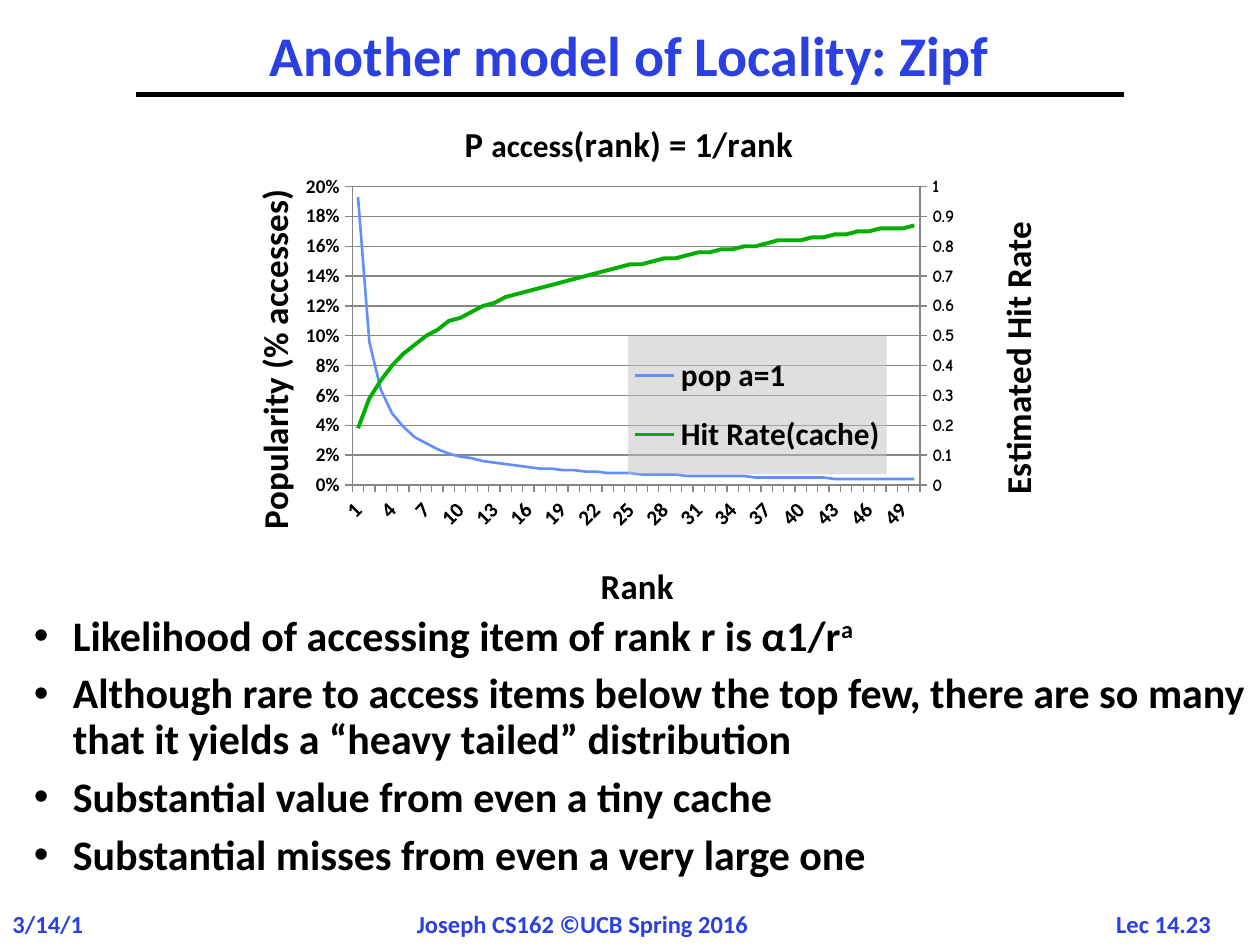
import copy
import itertools
from dataclasses import dataclass

import pptx
import pptx.chart.axis
import pptx.chart.data
import pptx.dml.color
import pptx.enum.chart
import pptx.enum.text
import pptx.oxml
import pptx.oxml.ns
import pptx.util

qn = pptx.oxml.ns.qn
Pt = pptx.util.Pt
ALIGN = pptx.enum.text.PP_ALIGN
ANCHOR = pptx.enum.text.MSO_ANCHOR
WIDTH, HEIGHT = pptx.util.Inches(10), pptx.util.Inches(7.5)
BLUE, BLACK, GRID = "2A40E2", "000000", "868686"
NS = pptx.oxml.ns.nsdecls("c", "a")


@dataclass
class Box:
    x: float
    y: float
    w: float
    h: float

    def emu(self) -> tuple:
        return (int(self.x * WIDTH), int(self.y * HEIGHT),
                int(self.w * WIDTH), int(self.h * HEIGHT))


@dataclass
class Label:
    text: str
    box: Box
    size: float = 14
    align: int = ALIGN.LEFT
    wrap: bool = False
    anchor: int = ANCHOR.TOP
    spacing: float = 1


LABELS = [
    Label("Lec 14.23", Box(0.872, 0.955, 0.103, 0.044), align=ALIGN.CENTER),
    Label("3/14/16", Box(0, 0.955, 0.082, 0.045), wrap=True),
    Label("Joseph CS162 ©UCB Spring 2016", Box(0.321, 0.955, 0.288, 0.045)),
    Label("Another model of Locality: Zipf", Box(0.108, 0.023, 0.783, 0.077),
          32, ALIGN.CENTER, True, ANCHOR.MIDDLE, 0.9),
]
BULLETS = [
    ("Likelihood of accessing item of rank r is α1/r", "a"),
    ("Although rare to access items below the top few, there are so many "
     "that it yields a “heavy tailed” distribution", ""),
    ("Substantial value from even a tiny cache", ""),
    ("Substantial misses from even a very large one", ""),
]


def rgb(value: str):
    return pptx.dml.color.RGBColor.from_string(value)


def style(font, size: float, color: str = BLACK, name: str = "Calibri") -> None:
    font.size, font.name, font.bold = Pt(size), name, True
    font.color.rgb = rgb(color)


def add_label(s, label: Label):
    tf = s.shapes.add_textbox(*label.box.emu()).text_frame
    tf.text, tf.word_wrap, tf.vertical_anchor = label.text, label.wrap, label.anchor
    p = tf.paragraphs[0]
    p.alignment, p.line_spacing = label.align, label.spacing
    style(p.runs[0].font, label.size, BLUE)


def add_rule(s) -> None:
    line = s.shapes.add_connector(1, *(int(v) for v in (
        0.108 * WIDTH, 0.1 * HEIGHT, 0.892 * WIDTH, 0.1 * HEIGHT)))
    line.line.color.rgb, line.line.width = rgb(BLACK), Pt(3)
    line._element.spPr.append(pptx.oxml.parse_xml(f"<a:effectLst {NS}/>"))


def add_bullets(s, box: Box) -> None:
    tf = s.shapes.add_textbox(*box.emu()).text_frame
    tf.word_wrap = True
    for i, (text, power) in enumerate(BULLETS):
        p = tf.paragraphs[0] if i == 0 else tf.add_paragraph()
        p.text, p.line_spacing, p.space_before = text, 0.9, Pt(7.2)
        if power:
            r = p.add_run()
            r.text = power
            r.font._element.set("baseline", "30000")
        for r in p.runs:
            style(r.font, 24)
        pPr = p._p.get_or_add_pPr()
        indent = pptx.util.Inches(0.31)
        pPr.set("marL", str(indent))
        pPr.set("indent", str(-indent))
        pPr.append(pptx.oxml.parse_xml(f'<a:buFont {NS} typeface="Arial"/>'))
        pPr.append(pptx.oxml.parse_xml(f'<a:buChar {NS} char="•"/>'))


def place(parent, after: str, **shares: float) -> None:
    for old in parent.findall(qn("c:layout")):
        parent.remove(old)
    target = '<c:layoutTarget val="inner"/>' if not after else ""
    modes = "".join(f'<c:{k}Mode val="edge"/>' for k in "xy")
    values = "".join(f'<c:{k} val="{v}"/>' for k, v in shares.items())
    layout = pptx.oxml.parse_xml(
        f"<c:layout {NS}><c:manualLayout>{target}{modes}{values}"
        "</c:manualLayout></c:layout>")
    if after:
        parent.find(qn(after)).addnext(layout)
    else:
        parent.insert(0, layout)


def set_title(title, parts: list, x: float, y: float, turned: bool = False) -> None:
    tf = title.text_frame
    tf.text = ""
    for text, size in parts:
        r = tf.paragraphs[0].add_run()
        r.text = text
        style(r.font, size)
    if turned:
        tf._txBody.bodyPr.set("rot", "-5400000")
        tf._txBody.bodyPr.set("vert", "horz")
    place(title._element, "c:tx", x=x, y=y)


def style_axis(axis, size: float, name: str = "Calibri") -> None:
    axis.major_tick_mark = pptx.enum.chart.XL_TICK_MARK.OUTSIDE
    axis.minor_tick_mark = pptx.enum.chart.XL_TICK_MARK.NONE
    axis.format.line.color.rgb, axis.format.line.width = rgb(GRID), Pt(0.75)
    style(axis.tick_labels.font, size, name=name)


def scale(axis, top: float, step: float, number_format: str) -> None:
    axis.minimum_scale, axis.maximum_scale, axis.major_unit = 0, top, step
    axis.tick_labels.number_format = number_format
    axis.tick_labels.number_format_is_linked = False


def add_right_axis(chart):
    plot = chart._chartSpace.chart.plotArea
    left_lines = plot.find(qn("c:lineChart"))
    lines = copy.deepcopy(left_lines)
    left_lines.remove(left_lines.findall(qn("c:ser"))[1])
    lines.remove(lines.findall(qn("c:ser"))[0])
    left_lines.addnext(lines)
    cat, val = (copy.deepcopy(a._element) for a in (chart.category_axis, chart.value_axis))
    ids = ("50010", "50020")
    for ref, number in zip(lines.findall(qn("c:axId")), ids):
        ref.set("val", number)
    for axis, own, other in ((cat, *ids), (val, *reversed(ids))):
        axis.find(qn("c:axId")).set("val", own)
        axis.find(qn("c:crossAx")).set("val", other)
    val.find(qn("c:axPos")).set("val", "r")
    val.find(qn("c:crosses")).set("val", "max")
    chart.value_axis._element.addnext(val)
    val.addnext(cat)
    pptx.chart.axis.CategoryAxis(cat).visible = False
    return pptx.chart.axis.ValueAxis(val)


def add_zipf_chart(s, box: Box) -> None:
    ranks = range(1, 51)
    shares = [0.1928 / rank for rank in ranks]
    data = pptx.chart.data.CategoryChartData()
    data.categories = [str(rank) for rank in ranks]
    data.add_series("pop a=1", [round(v, 3) for v in shares])
    data.add_series("Hit Rate(cache)", [round(v, 2) for v in itertools.accumulate(shares)])
    chart = s.shapes.add_chart(pptx.enum.chart.XL_CHART_TYPE.LINE, *box.emu(), data).chart
    style(chart.font, 10, name="Comic Neue")
    for series, color, width in zip(chart.plots[0].series, ("618FFD", "00AE00"), (1.5, 2.25)):
        series.smooth = False
        series.marker.style = pptx.enum.chart.XL_MARKER_STYLE.NONE
        series.format.line.color.rgb, series.format.line.width = rgb(color), Pt(width)
    chart.plots[0].vary_by_categories = False

    cat, left = chart.category_axis, chart.value_axis
    style_axis(cat, 12)
    style_axis(left, 11)
    right = add_right_axis(chart)
    style_axis(right, 10, "Comic Neue")
    scale(left, 0.2, 0.02, "0%")
    scale(right, 1, 0.1, "General")
    left.has_major_gridlines, right.has_major_gridlines = True, False
    grid = left.major_gridlines.format.line
    grid.color.rgb, grid.width = rgb(GRID), Pt(0.75)
    cat._element.find(qn("c:txPr")).find(qn("a:bodyPr")).set("rot", "-2700000")
    last = cat._element.find(qn("c:noMultiLvlLbl"))
    for tag, step in (("tickLblSkip", 3), ("tickMarkSkip", 1)):
        last.addprevious(pptx.oxml.parse_xml(f'<c:{tag} {NS} val="{step}"/>'))

    chart.has_title = True
    set_title(chart.chart_title, [("P ", 20), ("access", 18), ("(rank) = 1/rank", 20)], 0.3, 0.05)
    set_title(cat.axis_title, [("Rank", 20)], 0.46, 0.87)
    set_title(left.axis_title, [("Popularity (% accesses)", 20)], 0.04, 0.17, True)
    set_title(right.axis_title, [("Estimated Hit Rate", 20)], 0.93, 0.23, True)

    chart.has_legend = True
    legend = chart.legend
    legend.position = pptx.enum.chart.XL_LEGEND_POSITION.RIGHT
    legend.include_in_layout = True
    style(legend.font, 18)
    place(legend._element, "c:legendPos", x=0.5, y=0.46, w=0.31, h=0.26)
    legend._element.find(qn("c:overlay")).addnext(pptx.oxml.parse_xml(
        f'<c:spPr {NS}><a:solidFill><a:srgbClr val="C0C0C0"><a:alpha val="50000"/>'
        "</a:srgbClr></a:solidFill><a:ln><a:noFill/></a:ln></c:spPr>"))
    place(chart._chartSpace.chart.plotArea, "", x=0.17, y=0.18, w=0.68, h=0.56)


def main() -> None:
    prs = pptx.Presentation()
    prs.slide_width, prs.slide_height = WIDTH, HEIGHT
    s = prs.slides.add_slide(prs.slide_layouts[6])
    for label in LABELS:
        add_label(s, label)
    add_rule(s)
    add_bullets(s, Box(0.017, 0.644, 0.992, 0.248))
    add_zipf_chart(s, Box(0.167, 0.096, 0.667, 0.564))
    prs.save("out.pptx")


if __name__ == "__main__":
    main()
